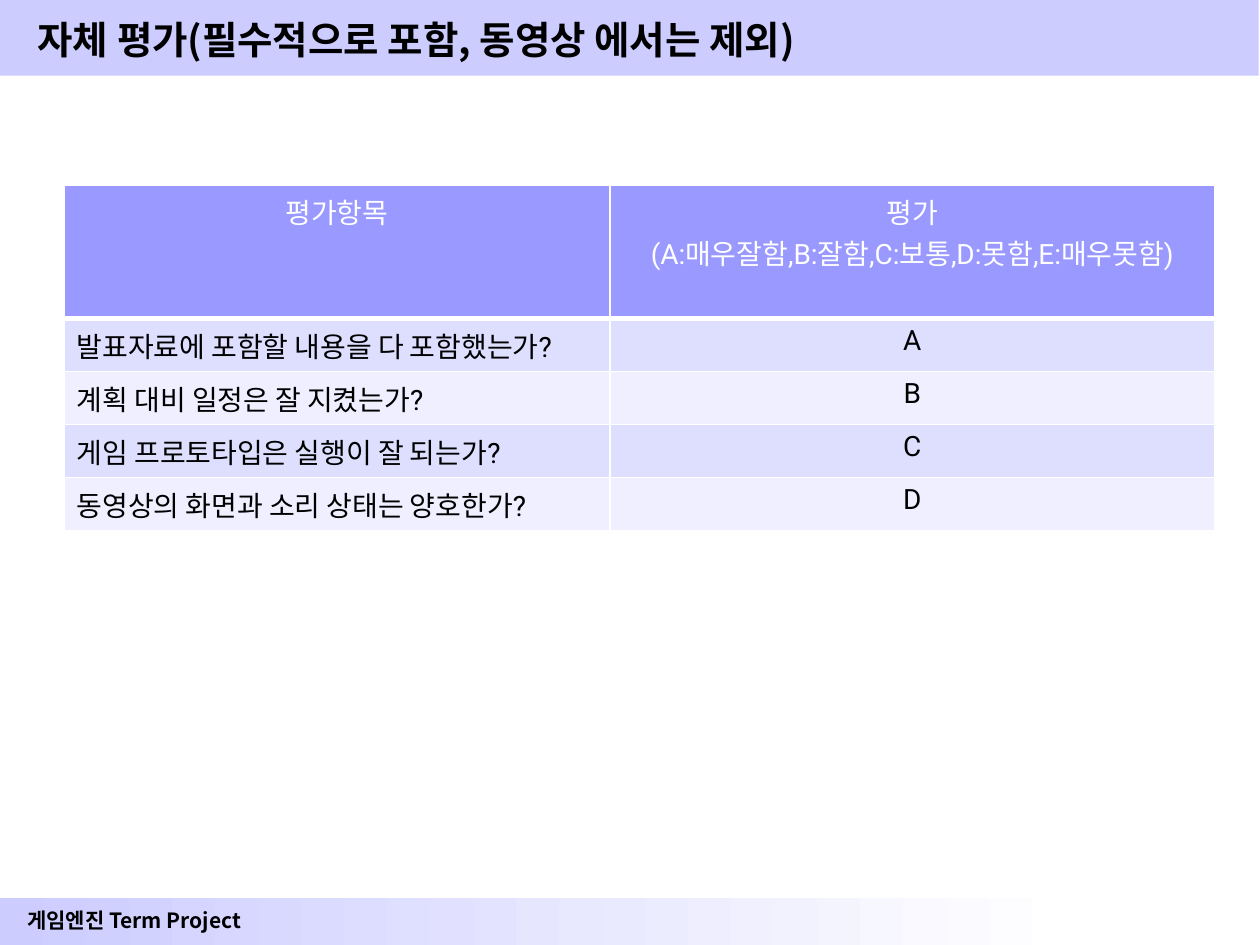
from dataclasses import dataclass

from lxml import etree
from pptx import Presentation
from pptx import util as u
from pptx.dml import color
from pptx.enum import shapes, text
from pptx.oxml import ns


@dataclass(frozen=True)
class Theme:
    lavender: str = "CCCCFF"
    header: str = "9999FF"
    bands: tuple = ("DEDEFF", "EFEFFF")
    white: str = "FFFFFF"
    black: str = "000000"
    korean: str = "Noto Sans CJK KR"
    latin: str = "Roboto"
    title_size: int = 22
    footer_size: int = 12
    table_size: int = 16


THEME = Theme()
LEFT, CENTER = text.PP_ALIGN.LEFT, text.PP_ALIGN.CENTER
HEADINGS = ("평가항목", "평가\n(A:매우잘함,B:잘함,C:보통,D:못함,E:매우못함)")
EVALUATIONS = (
    ("발표자료에 포함할 내용을 다 포함했는가?", "A"),
    ("계획 대비 일정은 잘 지켰는가?", "B"),
    ("게임 프로토타입은 실행이 잘 되는가?", "C"),
    ("동영상의 화면과 소리 상태는 양호한가?", "D"),
)


def rgb(value):
    return color.RGBColor.from_string(value)


def set_attributes(target, values):
    for name, value in values.items():
        setattr(target, name, value)


def write(frame, content, size, ink, font, bold=False, align=LEFT):
    frame.text = content
    for paragraph in frame.paragraphs:
        paragraph.alignment = align
        for run in paragraph.runs:
            set_attributes(run.font, {"size": u.Pt(size), "bold": bold, "name": font})
            run.font.color.rgb = rgb(ink)
            east_asian = etree.SubElement(run.font._element, ns.qn("a:ea"))
            east_asian.set("typeface", THEME.korean)


def add_band(slide, box, gradient=False):
    band = slide.shapes.add_shape(shapes.MSO_SHAPE.RECTANGLE, *map(u.Inches, box))
    band.shadow.inherit = False
    band.line.fill.background()
    if gradient:
        band.fill.gradient()
        band.fill.gradient_angle = 0
        for stop, tint, position in zip(
            band.fill.gradient_stops, (THEME.lavender, THEME.white), (0, 1)
        ):
            stop.color.rgb = rgb(tint)
            stop.position = position
    else:
        band.fill.solid()
        band.fill.fore_color.rgb = rgb(THEME.lavender)


def add_label(slide, box, content, size, align):
    frame = slide.shapes.add_textbox(*map(u.Inches, box)).text_frame
    set_attributes(
        frame, {"word_wrap": True, "vertical_anchor": text.MSO_ANCHOR.MIDDLE}
    )
    write(frame, content, size, THEME.black, THEME.korean, True, align)


def add_title(slide, box, content):
    left, top, width, height = box
    add_band(slide, box)
    label_box = (left + 0.2, top + 0.05, width - 0.3, height - 0.08)
    add_label(slide, label_box, content, THEME.title_size, LEFT)


def add_footer(slide, box, content):
    left, top, _, _ = box
    add_band(slide, box, gradient=True)
    label_box = (left + 0.04, top + 0.02, 2.05, 0.3)
    add_label(slide, label_box, content, THEME.footer_size, CENTER)


def add_borders(cell, bottom):
    properties = cell._tc.get_or_add_tcPr()
    widths = {"lnL": 1, "lnR": 1, "lnT": 1, "lnB": bottom}
    for index, (side, width) in enumerate(widths.items()):
        line = etree.Element(ns.qn(f"a:{side}"), w=str(u.Pt(width)))
        fill = etree.SubElement(line, ns.qn("a:solidFill"))
        etree.SubElement(fill, ns.qn("a:srgbClr"), val=THEME.white)
        properties.insert(index, line)


def add_evaluation_table(slide, box, column_widths, header_height):
    rows = (HEADINGS, *EVALUATIONS)
    table = slide.shapes.add_table(
        len(rows), len(HEADINGS), *map(u.Inches, box)
    ).table
    for column, width in zip(table.columns, column_widths):
        column.width = u.Inches(width)
    body_height = (box[3] - header_height) / len(EVALUATIONS)
    for row_index, values in enumerate(rows):
        is_header = row_index == 0
        table.rows[row_index].height = u.Inches(
            header_height if is_header else body_height
        )
        fill = THEME.header if is_header else THEME.bands[(row_index - 1) % 2]
        ink = THEME.white if is_header else THEME.black
        for column_index, content in enumerate(values):
            cell = table.cell(row_index, column_index)
            cell.fill.solid()
            cell.fill.fore_color.rgb = rgb(fill)
            align = CENTER if is_header or column_index else LEFT
            write(
                cell.text_frame, content, THEME.table_size, ink, THEME.latin,
                align=align,
            )
            add_borders(cell, 3 if is_header else 1)


def main():
    presentation = Presentation()
    set_attributes(
        presentation, {"slide_width": u.Inches(10), "slide_height": u.Inches(7.5)}
    )
    slide = presentation.slides.add_slide(presentation.slide_layouts[6])
    add_footer(slide, (0, 7.13, 8.53, 0.38), "게임엔진 Term Project")
    add_title(slide, (0, 0, 9.99, 0.6), "자체 평가(필수적으로 포함, 동영상 에서는 제외)")
    add_evaluation_table(slide, (0.51, 1.47, 9.13, 2.74), (4.33, 4.8), 1.06)
    presentation.save("out.pptx")


if __name__ == "__main__":
    main()
